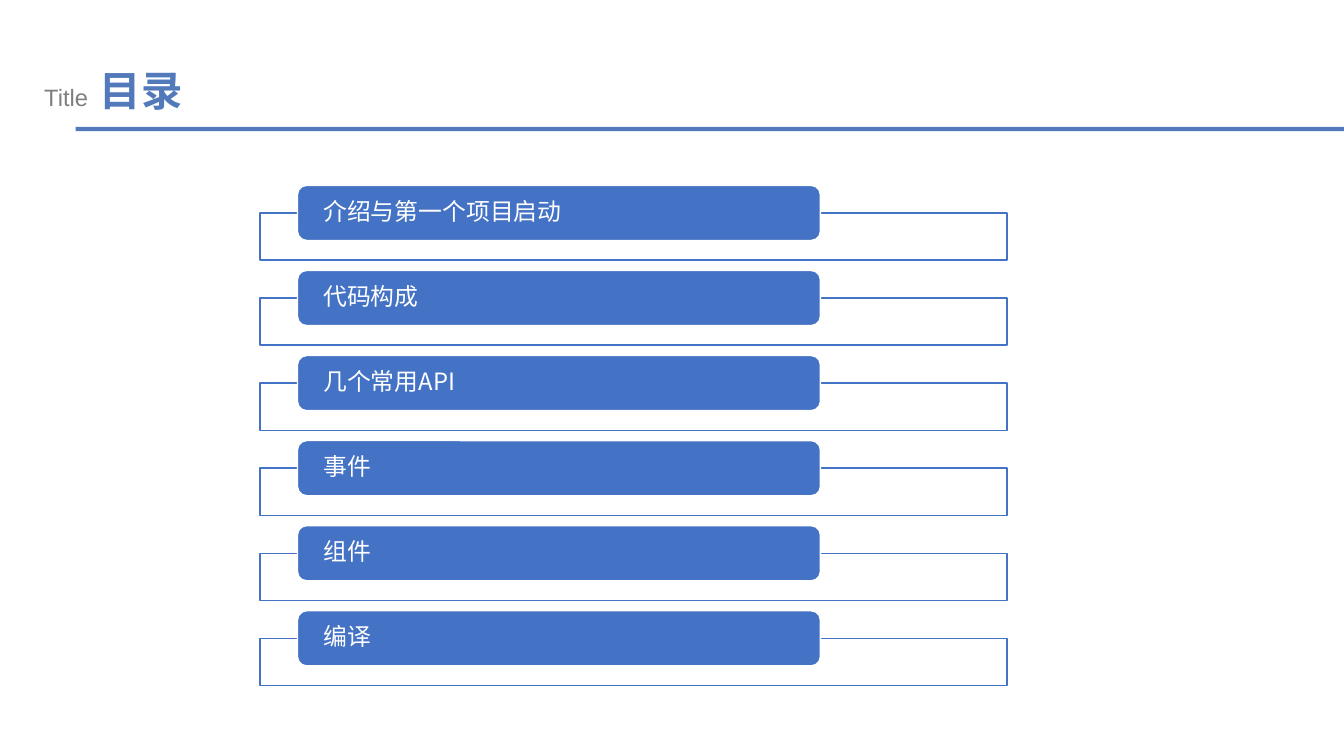
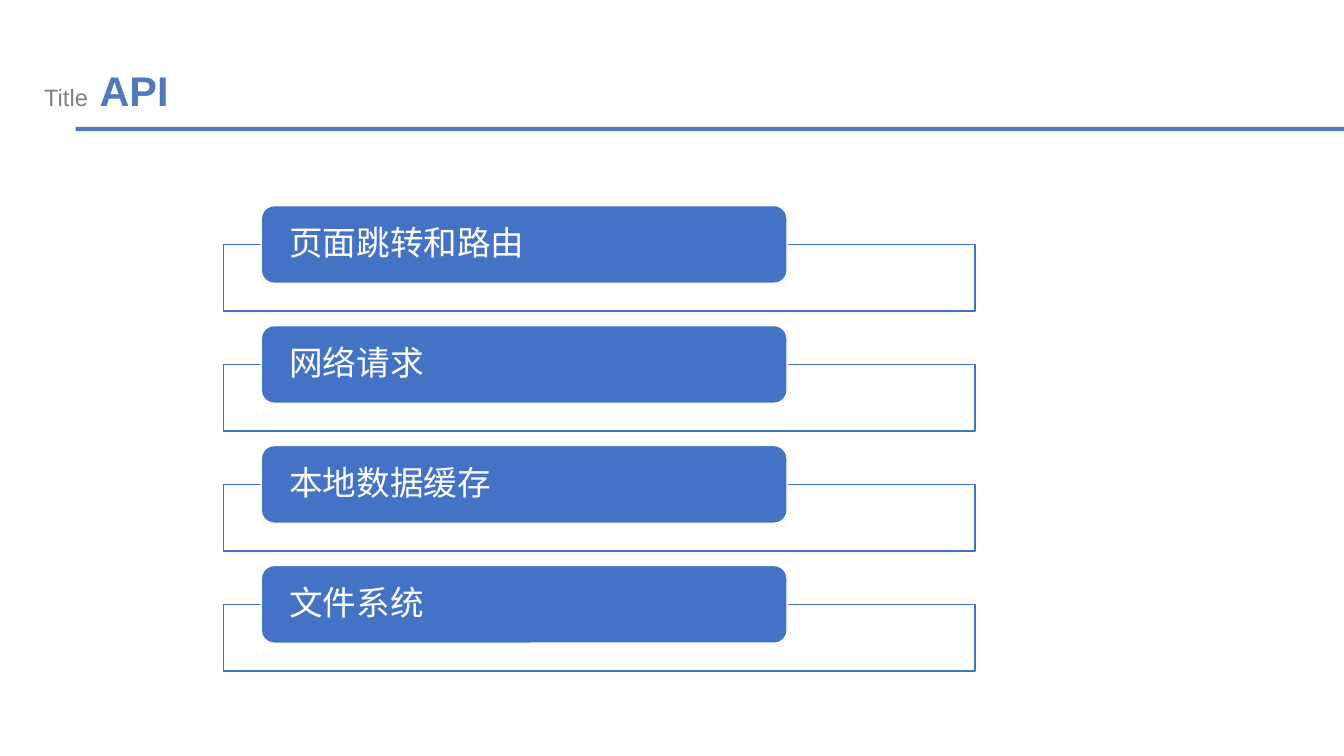
from dataclasses import dataclass

from lxml.etree import SubElement
from pptx import Presentation
from pptx.dml.color import RGBColor
from pptx.enum.shapes import MSO_SHAPE as Shape
from pptx.enum.text import MSO_ANCHOR as Anchor, MSO_AUTO_SIZE as AutoSize, PP_ALIGN as Align
from pptx.oxml.ns import qn
from pptx.util import Pt


@dataclass(frozen=True)
class Theme:
    title: RGBColor = RGBColor(0x52, 0x79, 0xBA)
    accent: RGBColor = RGBColor(0x44, 0x72, 0xC4)
    muted: RGBColor = RGBColor(0x80, 0x80, 0x80)
    black: RGBColor = RGBColor(0, 0, 0)
    white: RGBColor = RGBColor(0xFF, 0xFF, 0xFF)
    latin_font: str = "Arial"
    chinese_font: str = "Noto Sans CJK SC"
    label_size: float = 16.9
    title_size: float = 29.6


@dataclass(frozen=True)
class TopicList:
    """Place and scale of a topic list, in points."""
    left: float
    top: float
    width: float
    box_height: float
    text_size: float
    inset: float


THEME = Theme()
PAGE_WIDTH, PAGE_HEIGHT = 960, 540

# Topic list proportions: heights by box height, widths by frame width
FRAME_HEIGHT, PITCH = 0.857, 1.544
BOX_INDENT, BOX_WIDTH = 0.05, 0.7
FRAME_OPACITY = 90


def add_block(page, kind, left, top, width, height, fill, line=None):
    block = page.shapes.add_shape(kind, Pt(left), Pt(top), Pt(width), Pt(height))
    block.shadow.inherit = False
    block.fill.solid()
    block.fill.fore_color.rgb = fill
    if line is None:
        block.line.fill.background()
    else:
        block.line.color.rgb = line
        block.line.width = Pt(1)
    return block


def set_opacity(block, percent):
    color = block.fill._xPr.find(qn("a:solidFill"))[0]
    SubElement(color, qn("a:alpha"), val=str(percent * 1000))


def style_span(span, font_name, size, color, bold=False):
    span.font.name = font_name
    span.font.size = Pt(size)
    span.font.bold = bold
    span.font.color.rgb = color
    latin = span.font._element.find(qn("a:latin"))
    east_asian = SubElement(span.font._element, qn("a:ea"), typeface=THEME.chinese_font)
    latin.addnext(east_asian)


def add_header(page, title, width):
    # Rule running off the right edge
    add_block(page, Shape.RECTANGLE, 54, 90.7, PAGE_WIDTH - 54, 3, THEME.title)

    # Small label followed by the title
    box = page.shapes.add_textbox(Pt(24.5), Pt(43.2), Pt(width), Pt(43.2))
    frame = box.text_frame
    frame.word_wrap = True
    frame.auto_size = AutoSize.SHAPE_TO_FIT_TEXT
    para = frame.paragraphs[0]
    for text, size, color, bold in (
        ("Title", THEME.label_size, THEME.muted, False),
        (" ", THEME.title_size, THEME.black, False),
        (title, THEME.title_size, THEME.title, True),
    ):
        span = para.add_run()
        span.text = text
        style_span(span, THEME.latin_font, size, color, bold)


def add_topic(page, text, top, layout):
    height = layout.box_height

    # Outlined frame, starting at the middle of the topic box
    outline = add_block(page, Shape.RECTANGLE, layout.left, top + height / 2,
                        layout.width, height * FRAME_HEIGHT, THEME.white, THEME.accent)
    set_opacity(outline, FRAME_OPACITY)

    # Topic box with its text
    box = add_block(page, Shape.ROUNDED_RECTANGLE, layout.left + layout.width * BOX_INDENT, top,
                    layout.width * BOX_WIDTH, height, THEME.accent, THEME.white)
    frame = box.text_frame
    frame.word_wrap = True
    frame.vertical_anchor = Anchor.MIDDLE
    frame.margin_left = frame.margin_right = Pt(layout.inset)
    frame.margin_top = frame.margin_bottom = 0
    frame.text = text
    para = frame.paragraphs[0]
    para.alignment = Align.LEFT
    para.line_spacing = 0.9
    style_span(para.runs[0], THEME.chinese_font, layout.text_size, THEME.white)


def add_topic_page(deck, title, title_width, topics, layout):
    page = deck.slides.add_slide(deck.slide_layouts[6])
    add_header(page, title, title_width)
    for index, topic in enumerate(topics):
        add_topic(page, topic, layout.top + index * layout.box_height * PITCH, layout)


def main():
    deck = Presentation()
    deck.slide_width, deck.slide_height = Pt(PAGE_WIDTH), Pt(PAGE_HEIGHT)

    # Contents
    add_topic_page(
        deck, "目录", 428.4,
        ["介绍与第一个项目启动", "代码构成", "几个常用API", "事件", "组件", "编译"],
        TopicList(left=185.8, top=132.4, width=533.6, box_height=39.36, text_size=17, inset=16.5),
    )

    # API topics
    add_topic_page(
        deck, "API", 773.3,
        ["页面跳转和路由", "网络请求", "本地数据缓存", "文件系统"],
        TopicList(left=159.8, top=146.9, width=536.6, box_height=55.5, text_size=24, inset=17.3),
    )

    deck.save("out.pptx")


if __name__ == "__main__":
    main()
